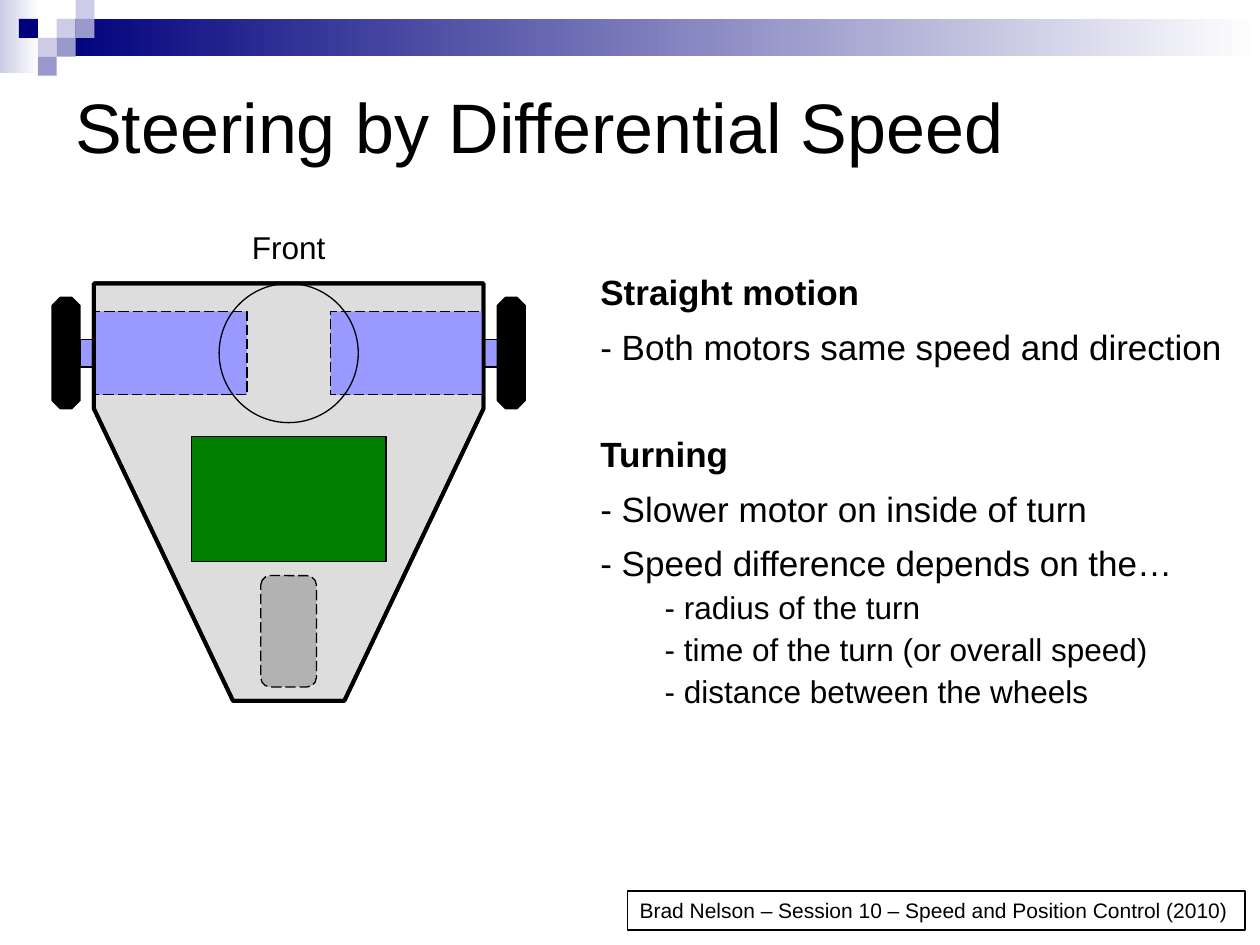
from pptx import Presentation
from pptx.dml.color import RGBColor
from pptx.enum.dml import MSO_LINE as Dash
from pptx.enum.shapes import MSO_SHAPE as Form
from pptx.enum.text import MSO_ANCHOR as Anchor, PP_ALIGN as Align
from pptx.util import Pt

BLACK, NAVY, PALE, MID = "000000", "00007D", "CCCCE6", "9999CC"
BLUE = "9999FF"

deck = Presentation()
deck.slide_width, deck.slide_height = Pt(720), Pt(540)
slide = deck.slides.add_slide(deck.slide_layouts[6])
shapes = slide.shapes


def color(code):
    return RGBColor.from_string(code)


def paint(item, fill=None, line=None, width=0.75, dash=False):
    item.shadow.inherit = False
    if isinstance(fill, tuple):
        item.fill.gradient()
        item.fill.gradient_angle = 0
        for stop, code in zip(item.fill.gradient_stops, fill):
            stop.color.rgb = color(code)
    elif fill:
        item.fill.solid()
        item.fill.fore_color.rgb = color(fill)
    else:
        item.fill.background()
    if line:
        item.line.color.rgb = color(line)
        item.line.width = Pt(width)
        if dash:
            item.line.dash_style = Dash.LONG_DASH
    else:
        item.line.fill.background()


def draw(form, x, y, w, h, adj=None, **style):
    item = shapes.add_shape(form, Pt(x), Pt(y), Pt(w), Pt(h))
    if adj is not None:
        item.adjustments[0] = adj
    paint(item, **style)
    return item


def write(frame, text, size=20, bold=False, align=Align.LEFT, gap=0, indent=0, first=True):
    par = frame.paragraphs[0] if first else frame.add_paragraph()
    par.alignment, par.space_before = align, Pt(gap)
    if indent:
        par._p.get_or_add_pPr().set("marL", str(Pt(indent)))
    run = par.add_run()
    run.text = text
    run.font.name, run.font.size, run.font.bold = "Arial", Pt(size), bold
    run.font.color.rgb = color(BLACK)


def frame(x, y, w, h, anchor=Anchor.TOP):
    box = shapes.add_textbox(Pt(x), Pt(y), Pt(w), Pt(h)).text_frame
    box.word_wrap, box.vertical_anchor = True, anchor
    return box


def header(x, y, unit):
    """Gradient bars and the steps of small squares."""
    draw(Form.RECTANGLE, x, y, 22.3, 41.8, fill=(PALE, "FFFFFF"))
    draw(Form.RECTANGLE, x + 3 * unit, y + unit, 720 - 3 * unit, 21.4, fill=(NAVY, "FFFFFF"))
    for col, row, code in [(3, 1, PALE), (4, 0, PALE), (4, 1, MID), (2, 2, PALE),
                           (1, 1, NAVY), (3, 2, MID), (2, 3, MID)]:
        draw(Form.RECTANGLE, x + col * unit, y + row * unit, unit, unit, fill=code)


def robot(x, y, unit):
    """Top view on a grid 34 units wide and 30 units deep."""
    def part(form, col, row, w, h, **style):
        draw(form, x + col * unit, y + row * unit, w * unit, h * unit, line=BLACK, **style)

    def pair(form, col, row, w, h, **style):
        for side in (col, 34 - col - w):
            part(form, side, row, w, h, **style)

    def hull(fill=None):
        spots = [(3, 0), (3, 9), (13, 30), (21, 30), (31, 9), (31, 0)]
        dots = [(Pt(x + col * unit), Pt(y + row * unit)) for col, row in spots]
        path = shapes.build_freeform(*dots[0])
        path.add_line_segments(dots[1:], close=True)
        paint(path.convert_to_shape(), fill=fill, line=BLACK, width=2.25)

    pair(Form.RECTANGLE, 2, 4, 1, 2, fill=BLUE)  # axles
    hull("DDDDDD")
    pair(Form.RECTANGLE, 3, 2, 11, 6, fill=BLUE, dash=True)  # motors
    pair(Form.OCTAGON, 0, 1, 2, 8, adj=0.29, fill=BLACK)  # wheels
    hull()
    part(Form.ROUNDED_RECTANGLE, 15, 21, 4, 8, adj=0.17, fill="B2B2B2", dash=True)
    part(Form.RECTANGLE, 10, 11, 14, 9, fill="008000")  # board
    part(Form.OVAL, 12, 0, 10, 10)
    write(frame(x + 17 * unit - 51, y - 35.3, 102, 28.8), "Front", size=18, align=Align.CENTER)


def notes(x, y, w, h):
    """Two headed groups of points."""
    box = frame(x, y, w, h)
    head, item, sub = dict(bold=True, gap=37.4), dict(gap=7.2), dict(size=18, gap=2.4, indent=36.7)
    rows = [("Straight motion", dict(bold=True)),
            ("- Both motors same speed and direction", item),
            ("Turning", head),
            ("- Slower motor on inside of turn", item),
            ("- Speed difference depends on the…", item),
            ("- radius of the turn", sub),
            ("- time of the turn (or overall speed)", sub),
            ("- distance between the wheels", sub)]
    for num, (text, style) in enumerate(rows):
        write(box, text, first=num == 0, **style)


def footer(x, y, w, h):
    """Framed credit line."""
    box = draw(Form.RECTANGLE, x, y, w, h, line=BLACK).text_frame
    box.word_wrap, box.vertical_anchor = True, Anchor.TOP
    write(box, "Brad Nelson – Session 10 – Speed and Position Control (2010)", size=12)


header(0, 0, 10.8)
write(frame(36, 36, 648, 72, Anchor.MIDDLE), "Steering by Differential Speed", size=40)
robot(29.8, 162, 7.95)
notes(336, 151, 372.5, 258.5)
footer(358.4, 509.2, 353, 22.3)

deck.save("out.pptx")
